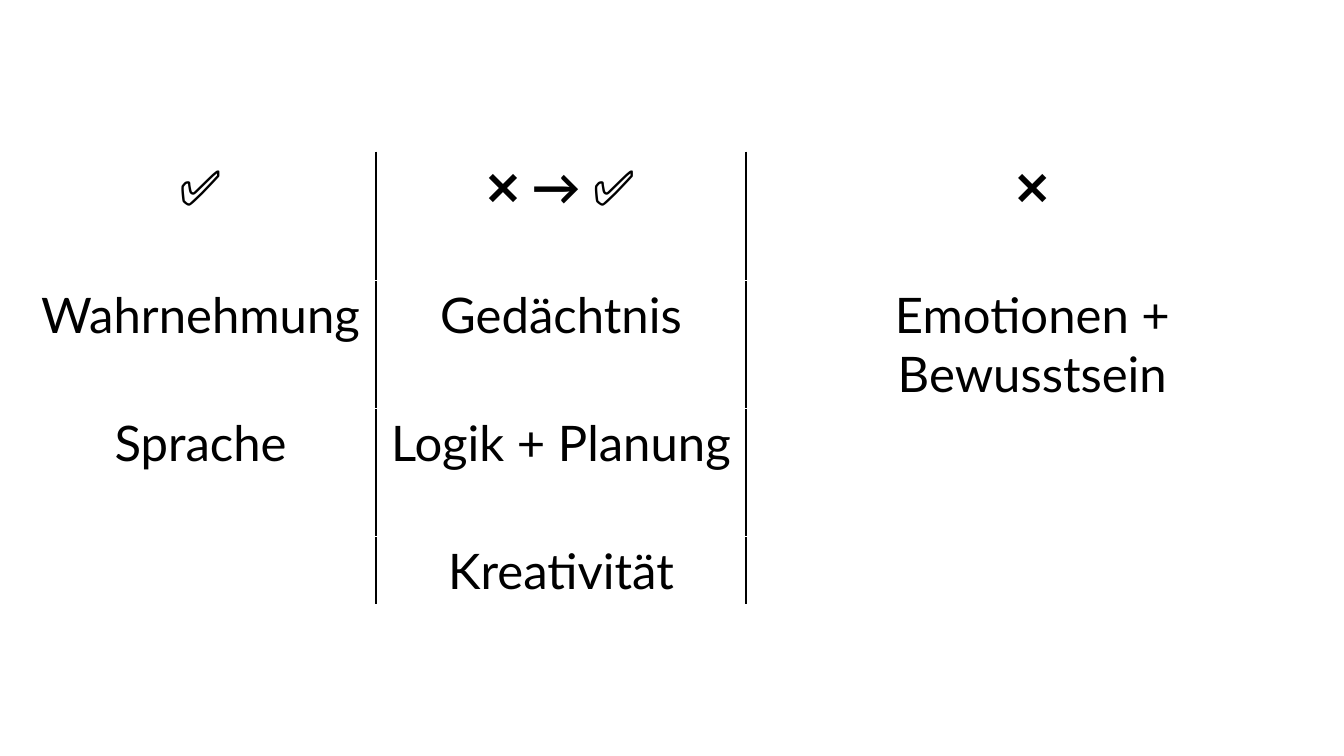
from dataclasses import dataclass

import pptx
import pptx.dml.color
import pptx.enum.text
import pptx.oxml
import pptx.oxml.ns
import pptx.util

Inches = pptx.util.Inches

COLOURS = {"ink": "000000", "paper": "FFFFFF"}
TEXT_FORMAT = {"name": "Lato", "size": pptx.util.Pt(35)}
LINE_POINTS = 1
ROW_HEIGHTS = (1.27, 1.27, 1.27, 0.68)


@dataclass(frozen=True)
class AbilityColumn:
    width: float
    status: str
    abilities: tuple[str, ...]


COLUMNS = (
    AbilityColumn(3.48, "✅", ("Wahrnehmung", "Sprache")),
    AbilityColumn(3.67, "❌ → ✅", ("Gedächtnis", "Logik + Planung", "Kreativität")),
    AbilityColumn(5.68, "❌", ("Emotionen + Bewusstsein",)),
)


def add_border(cell, side: str, colour: str) -> None:
    properties = cell._tc.get_or_add_tcPr()
    width = pptx.util.Pt(LINE_POINTS)
    properties.append(pptx.oxml.parse_xml(
        f'<a:ln{side} {pptx.oxml.ns.nsdecls("a")} w="{width}">'
        f'<a:solidFill><a:srgbClr val="{colour}"/></a:solidFill></a:ln{side}>'
    ))


def style_cell(cell, column_index: int) -> None:
    # Black lines stand only between columns
    inner_sides = {"L": column_index > 0, "R": column_index < len(COLUMNS) - 1}
    for side in "LRTB":
        add_border(cell, side, COLOURS["ink" if inner_sides.get(side) else "paper"])
    cell.fill.background()


def write_cell(cell, text: str, bold: bool) -> None:
    para = cell.text_frame.paragraphs[0]
    para.alignment = pptx.enum.text.PP_ALIGN.CENTER
    span = para.add_run()
    span.text = text
    for name, value in {**TEXT_FORMAT, "bold": bold}.items():
        setattr(span.font, name, value)
    span.font.color.rgb = pptx.dml.color.RGBColor.from_string(COLOURS["ink"])


def add_ability_table(page) -> None:
    frame = page.shapes.add_table(
        len(ROW_HEIGHTS), len(COLUMNS), Inches(0.25), Inches(1.51),
        Inches(sum(column.width for column in COLUMNS)), Inches(sum(ROW_HEIGHTS)),
    )
    table = frame.table
    table.first_row = table.horz_banding = False
    for row, height in zip(table.rows, ROW_HEIGHTS):
        row.height = Inches(height)

    for column_index, column in enumerate(COLUMNS):
        table.columns[column_index].width = Inches(column.width)
        for row_index in range(len(ROW_HEIGHTS)):
            style_cell(table.cell(row_index, column_index), column_index)
        # Status symbol on top, abilities below
        for row_index, text in enumerate((column.status, *column.abilities)):
            write_cell(table.cell(row_index, column_index), text, row_index == 0)


def main() -> None:
    deck = pptx.Presentation()
    deck.slide_width, deck.slide_height = Inches(13.33), Inches(7.5)
    page = deck.slides.add_slide(deck.slide_layouts[6])
    add_ability_table(page)
    deck.save("out.pptx")


if __name__ == "__main__":
    main()
